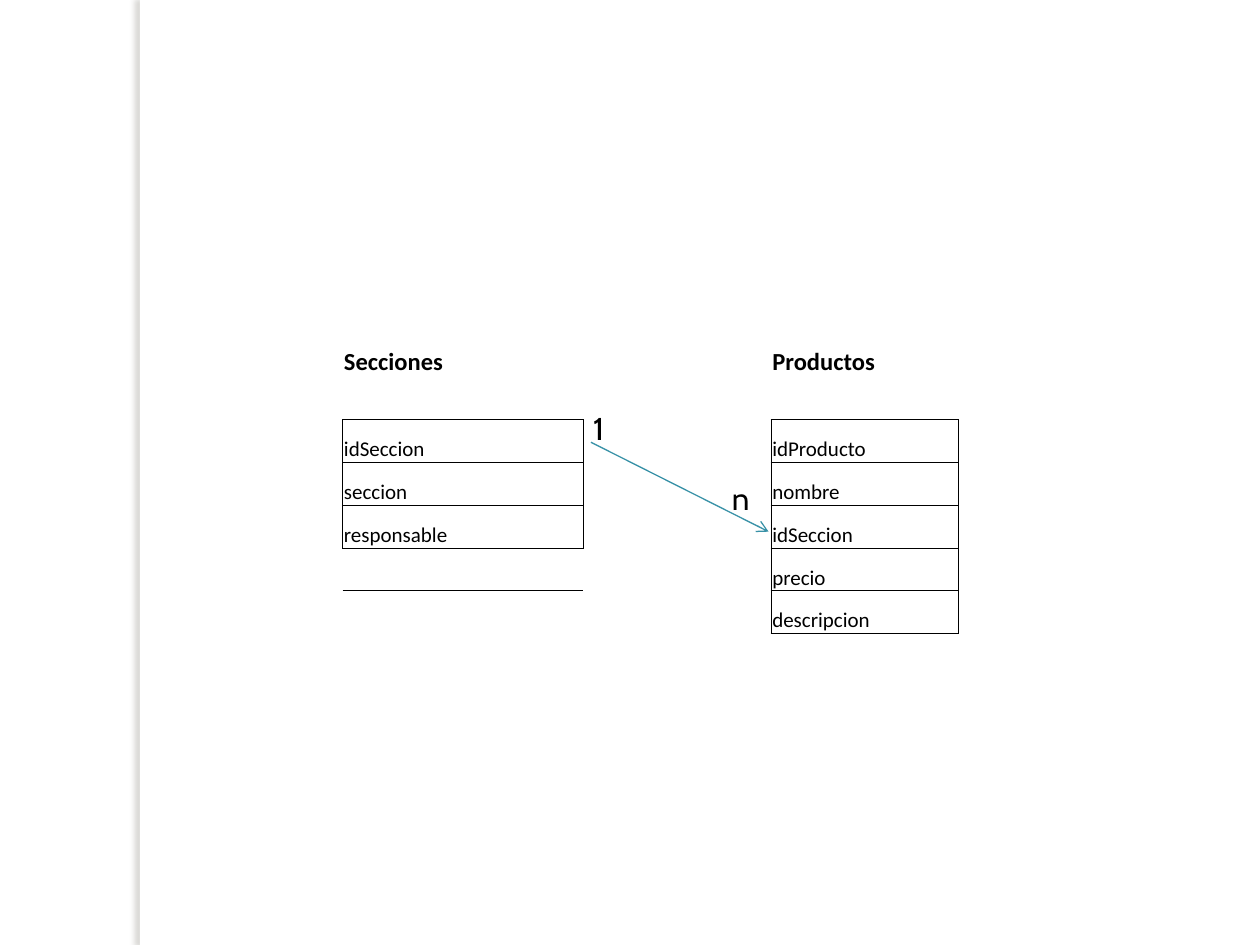
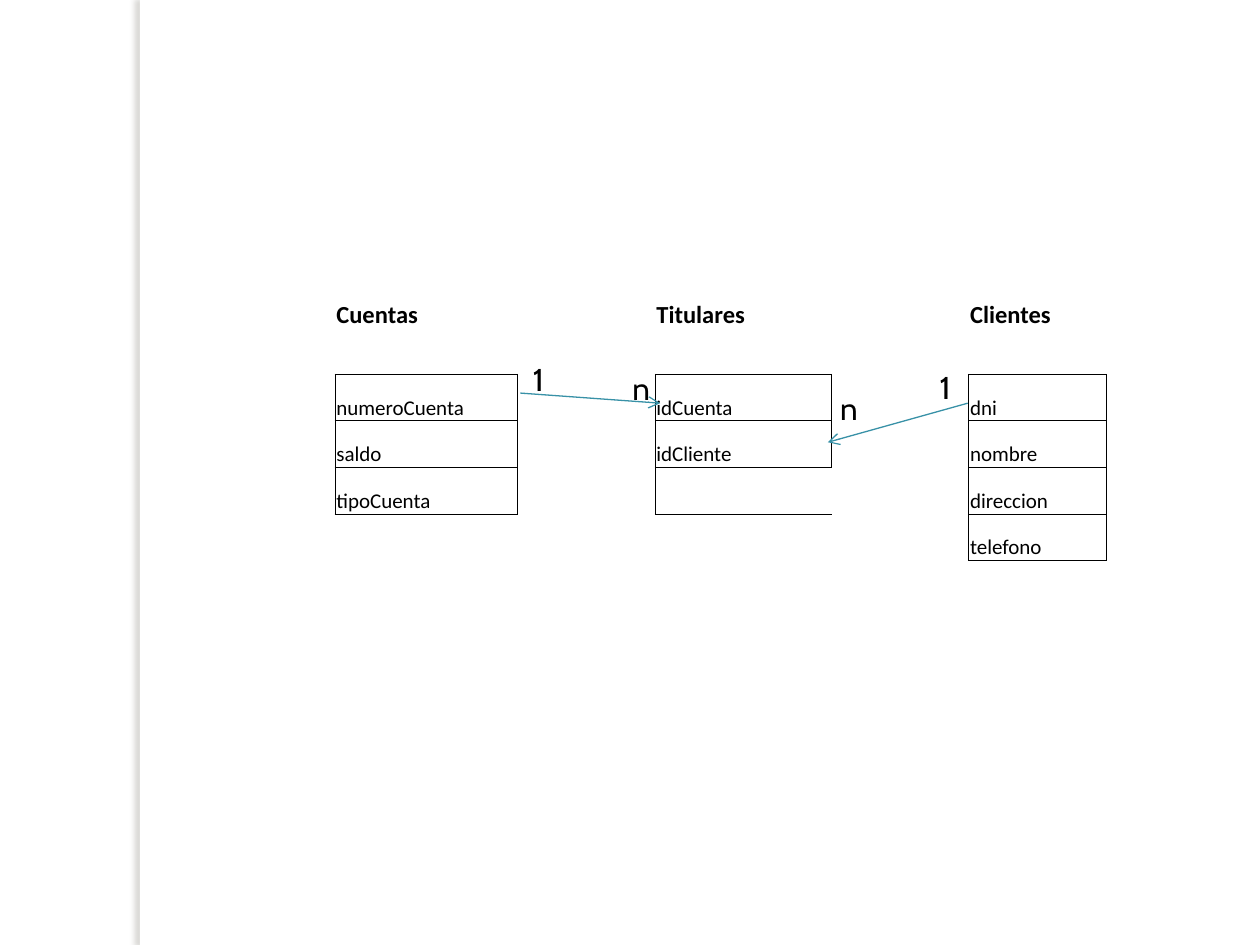
from dataclasses import dataclass

from lxml import etree
from pptx import Presentation
from pptx.dml.color import RGBColor
from pptx.enum.shapes import MSO_CONNECTOR, MSO_SHAPE
from pptx.enum.text import MSO_ANCHOR, MSO_AUTO_SIZE
from pptx.oxml.ns import qn
from pptx.util import Inches, Pt

STRAIGHT = MSO_CONNECTOR.STRAIGHT
RECTANGLE = MSO_SHAPE.RECTANGLE
BOTTOM = MSO_ANCHOR.BOTTOM
FIT_TEXT = MSO_AUTO_SIZE.SHAPE_TO_FIT_TEXT

BLACK = "000000"
WHITE = "FFFFFF"
ARROW_BLUE = "3891A7"
SHADOW_GREY = "736F63"
TABLE_FONT = "Calibri"
LABEL_FONT = "Cabin"
BLANK_LAYOUT = 6
NO_STYLE = "{2D5ABB26-0587-4C30-8999-92F81FD0307C}"
FIRST_FIELD_ROW = 2
EDGES = {"a:lnL": (0, -1), "a:lnR": (0, 1), "a:lnT": (-1, 0), "a:lnB": (1, 0)}


@dataclass(frozen=True)
class Entity:
    name: str
    fields: tuple[str, ...]


@dataclass(frozen=True)
class Schema:
    left: float
    top: float
    column_widths: tuple[float, ...]
    row_heights: tuple[float, ...]
    entities: tuple[Entity, ...]


@dataclass(frozen=True)
class Relation:
    start: tuple[float, float]
    end: tuple[float, float]


@dataclass(frozen=True)
class Cardinality:
    text: str
    left: float
    top: float
    width: float = 0.31


@dataclass(frozen=True)
class Diagram:
    schema: Schema
    relations: tuple[Relation, ...]
    cardinalities: tuple[Cardinality, ...]


DIAGRAMS = (
    Diagram(
        Schema(2.72, 2.65, (1.91, 1.49, 1.49), (0.34,) * 7, (
            Entity("Secciones", ("idSeccion", "seccion", "responsable")),
            Entity("Productos", ("idProducto", "nombre", "idSeccion",
                                 "precio", "descripcion")),
        )),
        (Relation((4.69, 3.51), (6.1, 4.22)),),
        (Cardinality("1", 4.61, 3.2, 0.55),
         Cardinality("n", 5.71, 3.75, 0.47)),
    ),
    Diagram(
        Schema(2.66, 2.18, (1.45, 1.09, 1.4, 1.09, 1.09),
               (0.44, 0.35) + (0.37,) * 4, (
            Entity("Cuentas", ("numeroCuenta", "saldo", "tipoCuenta")),
            Entity("Titulares", ("idCuenta", "idCliente")),
            Entity("Clientes", ("dni", "nombre", "direccion", "telefono")),
        )),
        (Relation((4.13, 3.12), (5.24, 3.2)),
         Relation((7.68, 3.2), (6.57, 3.51))),
        (Cardinality("1", 4.13, 2.81), Cardinality("n", 4.92, 2.88),
         Cardinality("1", 7.36, 2.87), Cardinality("n", 6.57, 3.04)),
    ),
)


def rgb(value: str) -> RGBColor:
    return RGBColor.from_string(value)


def add_text(paragraph, text: str, font: str, size: float,
             bold: bool = False) -> None:
    run = paragraph.add_run()
    run.text = text
    run.font.name = font
    run.font.size = Pt(size)
    run.font.bold = bold
    run.font.color.rgb = rgb(BLACK)


def add_side_band(slide) -> None:
    band = slide.shapes.add_shape(RECTANGLE, Inches(1.11), 0,
                                  Inches(0.08), Inches(7.5))
    band.fill.solid()
    band.fill.fore_color.rgb = rgb(WHITE)
    band.line.fill.background()
    band.shadow.inherit = False
    effects = band.element.spPr.find(qn("a:effectLst"))
    shadow = etree.SubElement(effects, qn("a:outerShdw"),
                              blurRad=str(Pt(3)), dist=str(Pt(3)),
                              dir="10800000", algn="tl", rotWithShape="0")
    color = etree.SubElement(shadow, qn("a:srgbClr"), val=SHADOW_GREY)
    etree.SubElement(color, qn("a:alpha"), val="25000")


def add_border(cell_properties, edge: str) -> None:
    border = etree.SubElement(cell_properties, qn(edge), w=str(Pt(0.5)))
    fill = etree.SubElement(border, qn("a:solidFill"))
    etree.SubElement(fill, qn("a:srgbClr"), val=BLACK)


def add_schema(slide, schema: Schema) -> None:
    texts: dict[tuple[int, int], str] = {}
    for index, entity in enumerate(schema.entities):
        texts[0, 2 * index] = entity.name
        for row, field in enumerate(entity.fields, FIRST_FIELD_ROW):
            texts[row, 2 * index] = field
    field_places = {place for place in texts if place[0] >= FIRST_FIELD_ROW}

    frame = slide.shapes.add_table(
        len(schema.row_heights), len(schema.column_widths),
        Inches(schema.left), Inches(schema.top),
        Inches(sum(schema.column_widths)), Inches(sum(schema.row_heights)))
    table = frame.table
    table.first_row = False
    table.horz_banding = False
    frame.element.find(".//" + qn("a:tableStyleId")).text = NO_STYLE
    for column, width in zip(table.columns, schema.column_widths):
        column.width = Inches(width)
    for row, height in zip(table.rows, schema.row_heights):
        row.height = Inches(height)

    for y in range(len(schema.row_heights)):
        for x in range(len(schema.column_widths)):
            cell = table.cell(y, x)
            cell.margin_left = cell.margin_right = Inches(0.01)
            cell.margin_top = Inches(0.01)
            cell.margin_bottom = 0
            cell.vertical_anchor = BOTTOM
            for edge, (down, right) in EDGES.items():
                if field_places & {(y, x), (y + down, x + right)}:
                    add_border(cell._tc.tcPr, edge)
            cell.fill.background()
            paragraph = cell.text_frame.paragraphs[0]
            if (y, x) in texts:
                heading = y == 0
                add_text(paragraph, texts[y, x], TABLE_FONT,
                         14 if heading else 12, heading)
            else:
                etree.SubElement(paragraph._p, qn("a:endParaRPr"), sz="1200")


def add_relation(slide, relation: Relation) -> None:
    arrow = slide.shapes.add_connector(
        STRAIGHT, *map(Inches, relation.start + relation.end))
    arrow.line.color.rgb = rgb(ARROW_BLUE)
    arrow.line.width = Pt(0.75)
    properties = arrow.element.spPr
    etree.SubElement(properties.find(qn("a:ln")), qn("a:tailEnd"),
                     type="arrow")
    etree.SubElement(properties, qn("a:effectLst"))


def add_cardinality(slide, cardinality: Cardinality) -> None:
    label = slide.shapes.add_textbox(
        Inches(cardinality.left), Inches(cardinality.top),
        Inches(cardinality.width), Inches(0.4))
    label.text_frame.word_wrap = True
    label.text_frame.auto_size = FIT_TEXT
    add_text(label.text_frame.paragraphs[0], cardinality.text, LABEL_FONT, 18)


def main() -> None:
    presentation = Presentation()
    presentation.slide_width = Inches(10)
    presentation.slide_height = Inches(7.5)
    for diagram in DIAGRAMS:
        slide = presentation.slides.add_slide(
            presentation.slide_layouts[BLANK_LAYOUT])
        add_side_band(slide)
        add_schema(slide, diagram.schema)
        for relation in diagram.relations:
            add_relation(slide, relation)
        for cardinality in diagram.cardinalities:
            add_cardinality(slide, cardinality)
    presentation.save("out.pptx")


if __name__ == "__main__":
    main()
